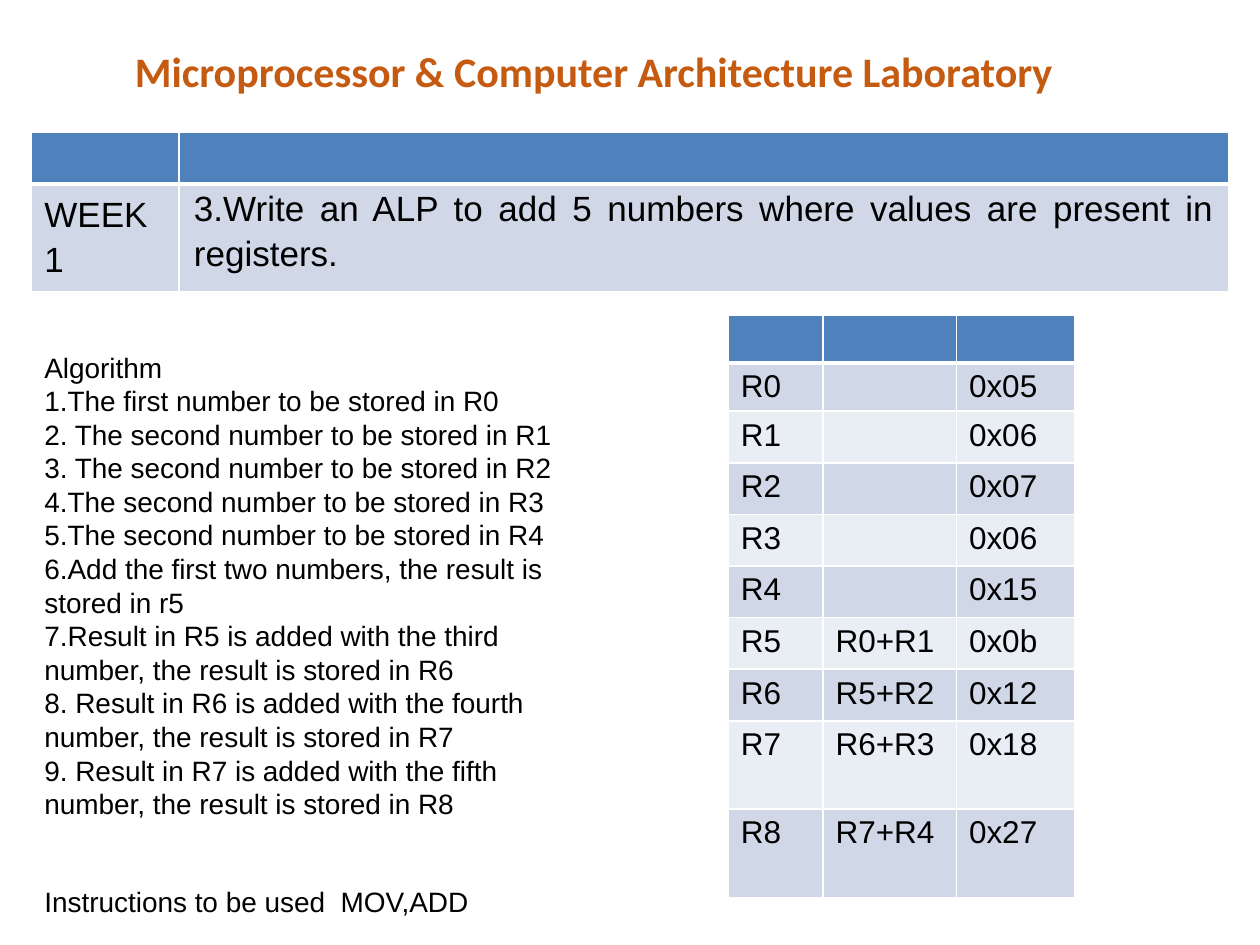
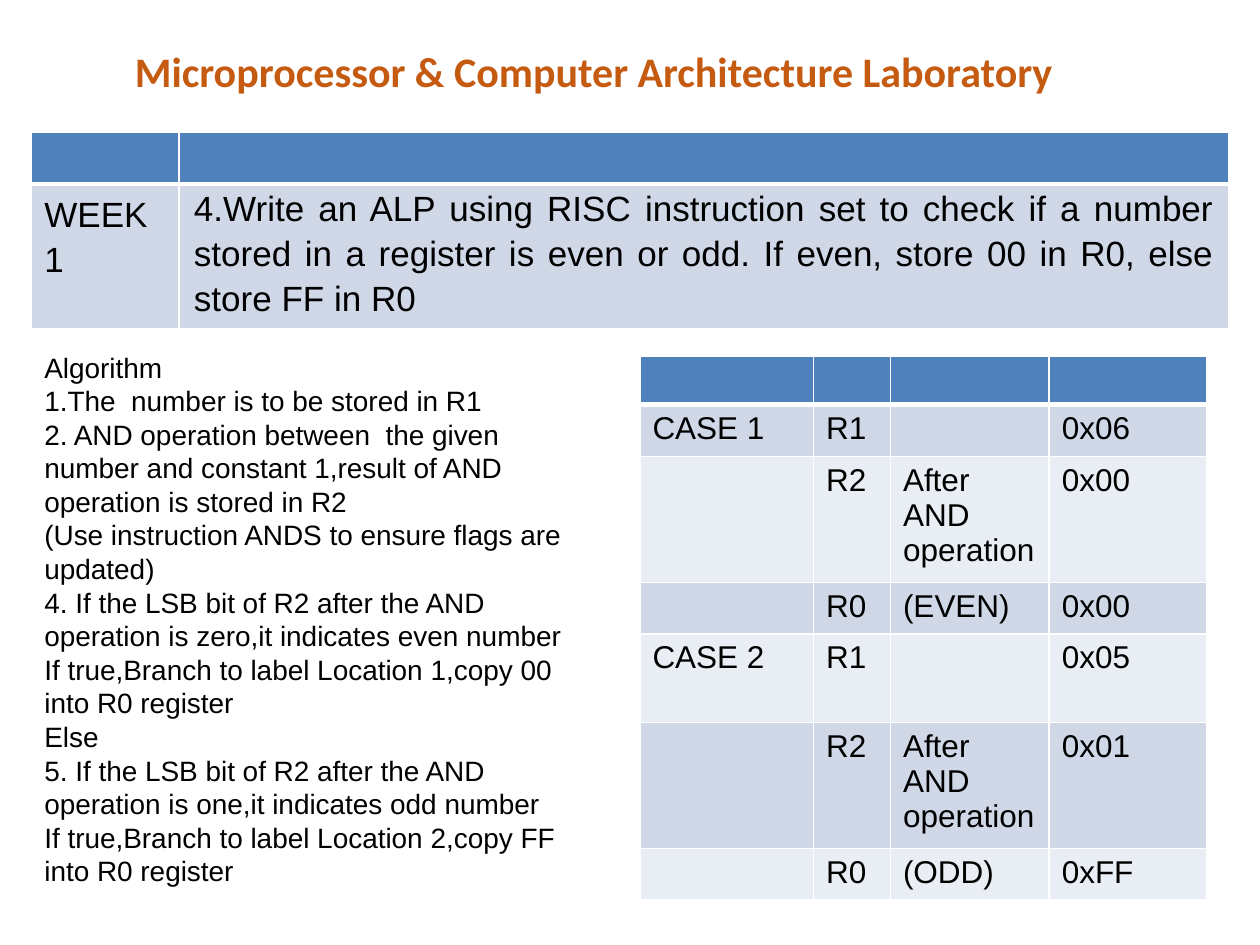
import pptx
import pptx.util
import pptx.dml.color
import pptx.enum.text
import pptx.oxml.ns
from lxml import etree

Cm = pptx.util.Cm
Pt = pptx.util.Pt
ALIGN = pptx.enum.text.PP_ALIGN
ANCHOR = pptx.enum.text.MSO_ANCHOR

COLORS = {"title": "C55A11", "text": "000000", "header": "4F81BD",
          "dark": "D0D8E8", "light": "E9EDF4", "border": "FFFFFF"}
TITLE = "Microprocessor & Computer Architecture Laboratory"
LEFT = 0.64
ROW = 1.04

ADD_STEPS = [
    "Algorithm",
    "1.The first number to be stored in R0",
    "2. The second number to be stored in R1",
    "3. The second number to be stored in R2",
    "4.The second number to be stored in R3",
    "5.The second number to be stored in R4",
    "6.Add the first two numbers, the result is stored in r5",
    "7.Result in R5 is added with the third number, the result is stored in R6",
    "8. Result in R6 is added with the fourth number, the result is stored in R7",
    "9. Result in R7 is added with the fifth number, the result is stored in R8",
    "Instructions to be used  MOV,ADD",
]
PARITY_STEPS = [
    "Algorithm",
    "1.The  number is to be stored in R1",
    "2. AND operation between  the given number and constant 1,"
    "result of AND operation is stored in R2",
    "(Use instruction ANDS to ensure flags are updated)",
    "4. If the LSB bit of R2 after the AND operation is zero,"
    "it indicates even number",
    "If true,Branch to label Location 1,copy 00 into R0 register",
    "Else",
    "5. If the LSB bit of R2 after the AND operation is one,"
    "it indicates odd number",
    "If true,Branch to label Location 2,copy FF into R0 register",
]
REGISTERS = [
    ["", "", ""],
    ["R0", "", "0x05"],
    ["R1", "", "0x06"],
    ["R2", "", "0x07"],
    ["R3", "", "0x06"],
    ["R4", "", "0x15"],
    ["R5", "R0+R1", "0x0b"],
    ["R6", "R5+R2", "0x12"],
    ["R7", "R6+R3", "0x18"],
    ["R8", "R7+R4", "0x27"],
]
CASES = [
    ["", "", "", ""],
    ["CASE 1", "R1", "", "0x06"],
    ["", "R2", "After AND operation", "0x00"],
    ["", "R0", "(EVEN)", "0x00"],
    ["CASE 2", "R1", "", "0x05"],
    ["", "R2", "After AND operation", "0x01"],
    ["", "R0", "(ODD)", "0xFF"],
]


def rgb(name):
    """Look up a named colour."""
    return pptx.dml.color.RGBColor.from_string(COLORS[name])


def format_runs(p, size, font="Arial", color="text", bold=False):
    """Format every run of a paragraph."""
    for r in p.runs:
        r.font.size = Pt(size)
        r.font.name = font
        r.font.bold = bold
        r.font.color.rgb = rgb(color)


def place(sp, left, top, width, height):
    """Move and size a shape, in centimetres."""
    sp.left, sp.top = Cm(left), Cm(top)
    sp.width, sp.height = Cm(width), Cm(height)


def add_slide(prs):
    """Add a slide with the shared title."""
    s = prs.slides.add_slide(prs.slide_layouts[1])
    sp = s.shapes.title
    place(sp, LEFT, 0.79, 22.66, 1.27)
    tf = sp.text_frame
    tf.text = TITLE
    tf.auto_size = pptx.enum.text.MSO_AUTO_SIZE.NONE
    tf.vertical_anchor = ANCHOR.MIDDLE
    p = tf.paragraphs[0]
    p.alignment = ALIGN.CENTER
    format_runs(p, 24, "Calibri", "title", True)
    return s


def fill_steps(s, steps, width):
    """Write the algorithm into the body placeholder, without bullets."""
    sp = s.placeholders[1]
    place(sp, LEFT, 6.93, width, 11.9)
    tf = sp.text_frame
    tf.text = "\n".join(steps)
    tf.auto_size = pptx.enum.text.MSO_AUTO_SIZE.NONE
    for p in tf.paragraphs:
        p.space_before = Pt(0)
        format_runs(p, 16)
        pPr = p._p.get_or_add_pPr()
        pPr.set("marL", "0")
        pPr.set("indent", "0")
        etree.SubElement(pPr, pptx.oxml.ns.qn("a:buNone"))
    return tf


def set_borders(cell, top, bottom):
    """Draw the cell borders; top and bottom are widths in points."""
    qn = pptx.oxml.ns.qn
    tcPr = cell._tc.get_or_add_tcPr()
    for side, width in (("L", 1), ("R", 1), ("T", top), ("B", bottom)):
        ln = etree.SubElement(tcPr, qn("a:ln" + side), w=str(Pt(width)))
        fill = etree.SubElement(ln, qn("a:solidFill"))
        etree.SubElement(fill, qn("a:srgbClr"), val=COLORS["border"])


def add_grid(s, left, top, widths, heights, rows, size=18):
    """Add a table with a blue header row and banded rows below."""
    frame = s.shapes.add_table(len(rows), len(widths), Cm(left), Cm(top),
                               Cm(sum(widths)), Cm(sum(heights)))
    table = frame.table
    for column, width in zip(table.columns, widths):
        column.width = Cm(width)
    for i, row in enumerate(rows):
        table.rows[i].height = Cm(heights[i])
        band = "header" if i == 0 else ("dark" if i % 2 else "light")
        for j, text in enumerate(row):
            cell = table.cell(i, j)
            set_borders(cell, 3 if i == 1 else 1, 3 if i == 0 else 1)
            cell.fill.solid()
            cell.fill.fore_color.rgb = rgb(band)
            if text:
                cell.text = text
                format_runs(cell.text_frame.paragraphs[0], size)
            else:
                cell.margin_top = cell.margin_bottom = 0
    return table


def add_task(s, task, height):
    """Add the table that states the week and the task."""
    table = add_grid(s, LEFT, 2.67, [2.97, 21.16], [ROW, height],
                     [["", ""], ["WEEK 1", task]], 20)
    for cell in table.rows[1].cells:
        p = cell.text_frame.paragraphs[0]
        p.alignment = ALIGN.JUSTIFY
        p.line_spacing = 1.15
    cell = table.cell(1, 1)
    cell.margin_left = cell.margin_right = Cm(0.3)
    cell.margin_top = cell.margin_bottom = 0


def add_sum_slide(prs):
    """Build the slide on adding five numbers."""
    s = add_slide(prs)
    add_task(s, "3.Write an ALP to add 5 numbers where values are present "
                "in registers.", 2.18)
    tf = fill_steps(s, ADD_STEPS, 11.63)
    tf.paragraphs[-1].space_before = Pt(37)
    add_grid(s, 14.68, 6.35, [1.91, 2.69, 2.39],
             [0.97] * 2 + [ROW] * 6 + [1.78] * 2, REGISTERS)


def add_parity_slide(prs):
    """Build the slide on checking for even or odd."""
    s = add_slide(prs)
    add_task(s, "4.Write an ALP using RISC instruction set to check if a "
                "number stored in a register is even or odd. If even, store "
                "00 in R0, else store FF in R0", 2.92)
    fill_steps(s, PARITY_STEPS, 11.33)
    add_grid(s, 12.9, 7.19, [3.5, 1.55, 3.2, 3.18],
             [0.97, ROW, 2.54, ROW, 1.78, 2.54, ROW], CASES)


def main():
    """Build and save the presentation."""
    prs = pptx.Presentation()
    prs.slide_width, prs.slide_height = Cm(25.4), Cm(19.05)
    add_sum_slide(prs)
    add_parity_slide(prs)
    prs.save("out.pptx")


main()
